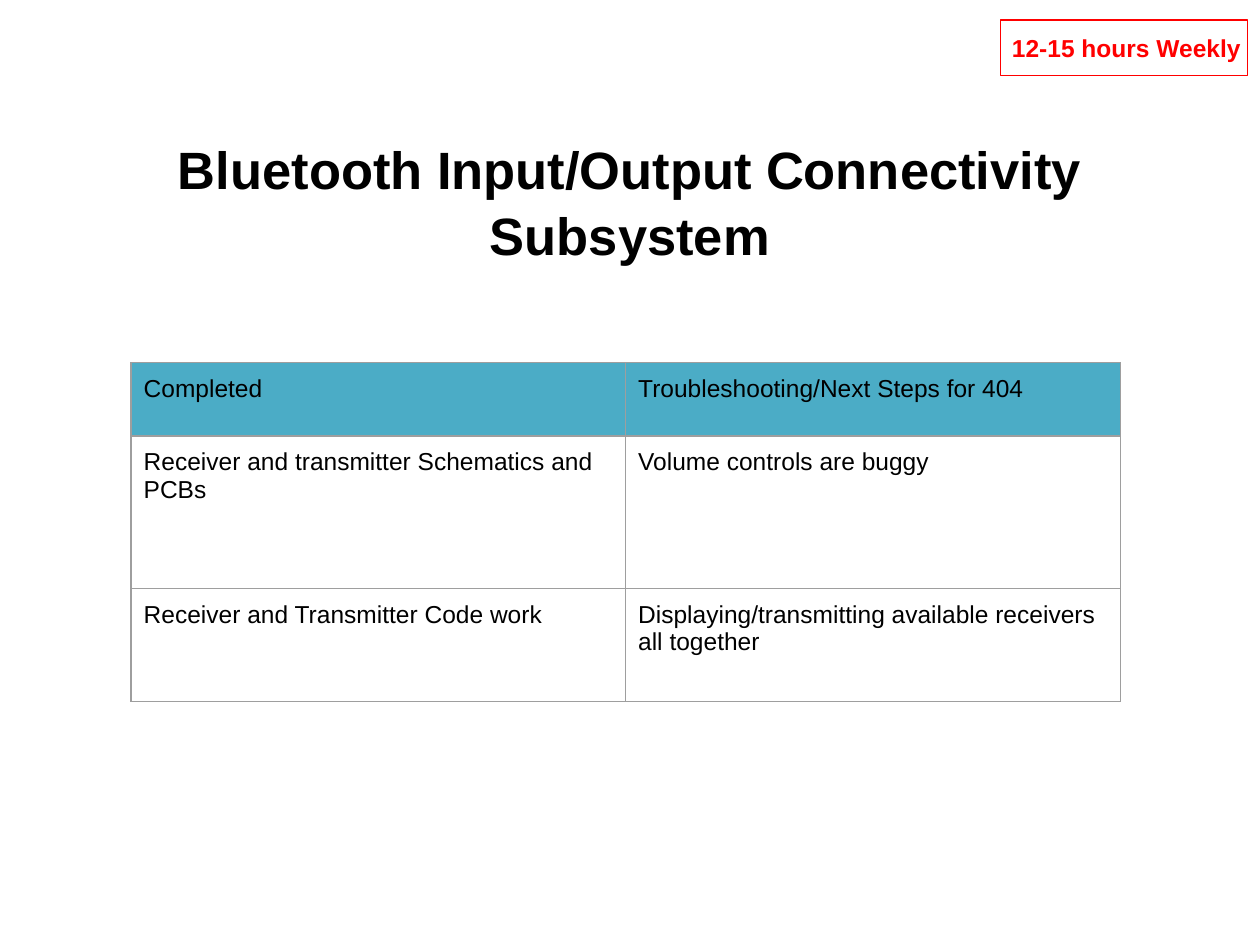
from dataclasses import dataclass

from lxml.etree import SubElement
from pptx import Presentation
from pptx.dml.color import RGBColor
from pptx.enum.shapes import MSO_SHAPE
from pptx.enum.text import MSO_ANCHOR, MSO_AUTO_SIZE, PP_ALIGN
from pptx.oxml.ns import qn
from pptx.util import Inches, Pt


@dataclass(frozen=True)
class Theme:
    font: str = "Arial"
    text: str = "000000"
    accent: str = "FF0000"
    header: str = "4BACC6"
    border: str = "9E9E9E"
    title_size: float = 30
    body_size: float = 14
    line_width: float = 0.75


theme = Theme()


def write(tf, text, size, color, bold=False, align=PP_ALIGN.LEFT, inset=0.1):
    """Fill a text frame with one formatted paragraph."""
    tf.word_wrap = True
    tf.margin_left = tf.margin_right = Inches(0.1)
    tf.margin_top = tf.margin_bottom = Inches(inset)
    p = tf.paragraphs[0]
    p.text = text
    p.alignment = align
    p.font.name = theme.font
    p.font.size = Pt(size)
    p.font.bold = bold
    p.font.color.rgb = RGBColor.from_string(color)


def add_borders(cell):
    tc_pr = cell._tc.get_or_add_tcPr()
    for i, side in enumerate(("a:lnL", "a:lnR", "a:lnT", "a:lnB")):
        ln = SubElement(tc_pr, qn(side), w=str(Pt(theme.line_width)))
        fill = SubElement(ln, qn("a:solidFill"))
        SubElement(fill, qn("a:srgbClr"), val=theme.border)
        tc_pr.insert(i, ln)


prs = Presentation()
prs.slide_width, prs.slide_height = Inches(10), Inches(7.5)
s = prs.slides.add_slide(prs.slide_layouts[5])

# Title
title = s.shapes.title
title.left, title.top = Inches(0.5), Inches(1.15)
title.width, title.height = Inches(9), Inches(0.88)
tf = title.text_frame
write(tf, "Bluetooth Input/Output Connectivity Subsystem",
      theme.title_size, theme.text, True, PP_ALIGN.CENTER, 0.05)
tf.auto_size = MSO_AUTO_SIZE.NONE
tf.vertical_anchor = MSO_ANCHOR.MIDDLE
tf.paragraphs[0].line_spacing = 1.05

# Status table
rows = [
    ("Completed", "Troubleshooting/Next Steps for 404"),
    ("Receiver and transmitter Schematics and PCBs",
     "Volume controls are buggy"),
    ("Receiver and Transmitter Code work",
     "Displaying/transmitting available receivers all together"),
]
row_heights = (0.58, 1.21, 0.9)
col_width = 3.925
table = s.shapes.add_table(len(rows), 2, Inches(1.04), Inches(2.88),
                           Inches(2 * col_width),
                           Inches(sum(row_heights))).table
table.horz_banding = False
for col in table.columns:
    col.width = Inches(col_width)
for r, (texts, height) in enumerate(zip(rows, row_heights)):
    table.rows[r].height = Inches(height)
    for c, text in enumerate(texts):
        cell = table.cell(r, c)
        write(cell.text_frame, text, theme.body_size, theme.text)
        cell.margin_left = cell.margin_right = Inches(0.1)
        cell.margin_top = cell.margin_bottom = Inches(0.1)
        if r == 0:
            cell.fill.solid()
            cell.fill.fore_color.rgb = RGBColor.from_string(theme.header)
        else:
            cell.fill.background()
        add_borders(cell)

# Weekly hours label and its frame
label = s.shapes.add_textbox(Inches(7.88), Inches(0.16),
                             Inches(2.12), Inches(0.44))
write(label.text_frame, "12-15 hours Weekly", theme.body_size, theme.accent,
      True, PP_ALIGN.CENTER)

frame = s.shapes.add_shape(MSO_SHAPE.RECTANGLE, Inches(7.94), Inches(0.16),
                           Inches(1.96), Inches(0.44))
frame.shadow.inherit = False
frame.fill.background()
frame.line.color.rgb = RGBColor.from_string(theme.accent)
frame.line.width = Pt(theme.line_width)

prs.save("out.pptx")
